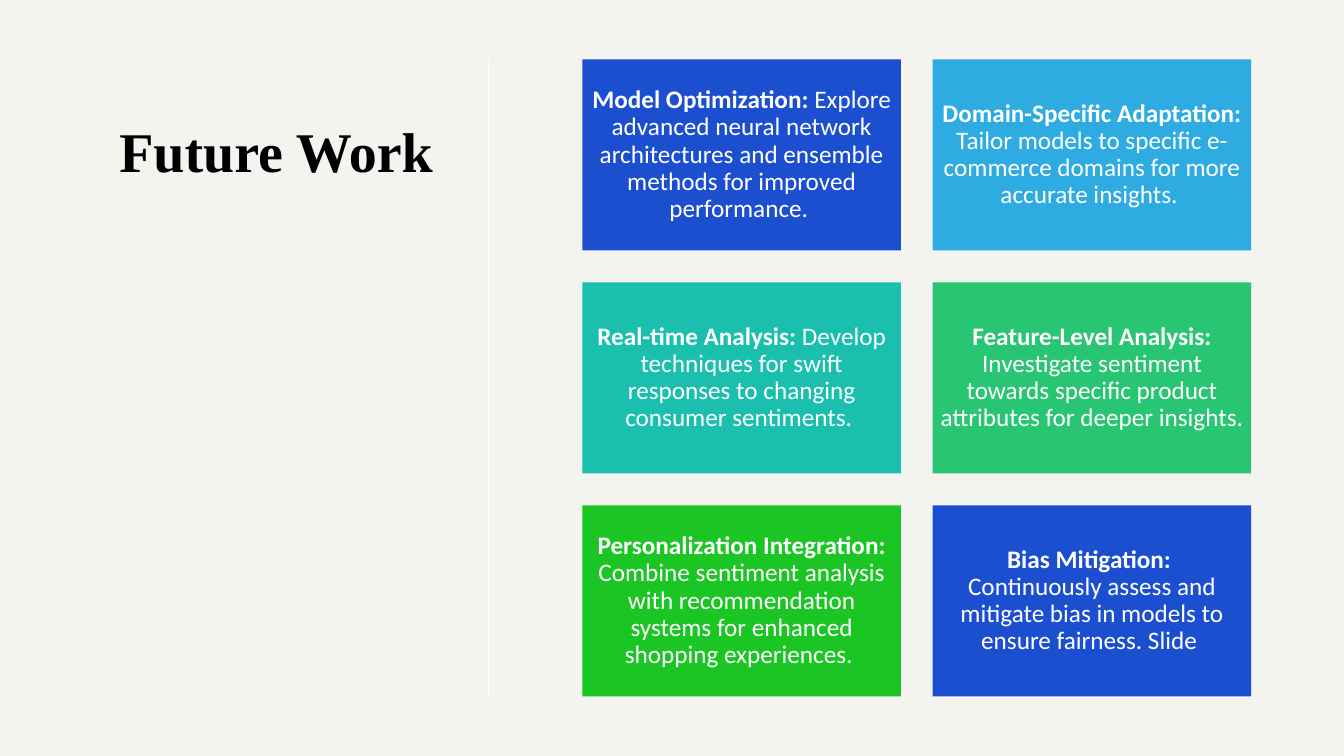
from dataclasses import dataclass

from lxml import etree
from pptx import Presentation
from pptx.dml.color import RGBColor
from pptx.enum.shapes import MSO_CONNECTOR, MSO_SHAPE
from pptx.enum.text import MSO_ANCHOR, MSO_AUTO_SIZE, PP_ALIGN
from pptx.oxml.ns import qn
from pptx.util import Pt

RECTANGLE = MSO_SHAPE.RECTANGLE
STRAIGHT = MSO_CONNECTOR.STRAIGHT
TOP, MIDDLE = MSO_ANCHOR.TOP, MSO_ANCHOR.MIDDLE
LEFT, CENTER = PP_ALIGN.LEFT, PP_ALIGN.CENTER
NO_AUTOFIT = MSO_AUTO_SIZE.NONE


@dataclass(frozen=True)
class Theme:
    background: str = "F3F3F0"
    title_color: str = "000000"
    light: str = "FFFFFF"
    cards: tuple = ("1C4FD0", "2EACE2", "1AC0AD", "28C572", "1BC624")
    title_font: str = "Times New Roman"
    body_font: str = "Calibri"
    title_size: int = 40
    body_size: int = 18


THEME = Theme()

FUTURE_WORK = [
    ("Model Optimization: ",
     "Explore advanced neural network architectures and ensemble methods for improved performance. "),
    ("Domain-Specific Adaptation:",
     " Tailor models to specific e-commerce domains for more accurate insights. "),
    ("Real-time Analysis: ",
     "Develop techniques for swift responses to changing consumer sentiments. "),
    ("Feature-Level Analysis:",
     " Investigate sentiment towards specific product attributes for deeper insights. "),
    ("Personalization Integration:",
     " Combine sentiment analysis with recommendation systems for enhanced shopping experiences. "),
    ("Bias Mitigation:  ",
     "Continuously assess and mitigate bias in models to ensure fairness. Slide "),
]


def color(value):
    return RGBColor.from_string(value)


def style_font(font, name, size, value):
    font.name = name
    font.size = Pt(size)
    font.color.rgb = color(value)


def place_title(slide, text, left, top, width, height):
    title = slide.shapes.title
    title.left, title.top = Pt(left), Pt(top)
    title.width, title.height = Pt(width), Pt(height)
    frame = title.text_frame
    frame.text = text
    frame.word_wrap = True
    frame.auto_size = NO_AUTOFIT
    frame.vertical_anchor = TOP
    paragraph = frame.paragraphs[0]
    paragraph.alignment = LEFT
    paragraph.line_spacing = 1.1
    style_font(paragraph.font, THEME.title_font, THEME.title_size, THEME.title_color)
    paragraph.font.bold = True


def add_divider(slide, x, top, height):
    divider = slide.shapes.add_connector(STRAIGHT, Pt(x), Pt(top), Pt(x), Pt(top + height))
    divider.line.color.rgb = color(THEME.light)
    divider.line.width = Pt(1)
    etree.SubElement(divider._element.spPr, qn("a:effectLst"))


def add_card(slide, heading, body, fill, left, top, width, height):
    card = slide.shapes.add_shape(RECTANGLE, Pt(left), Pt(top), Pt(width), Pt(height))
    card.shadow.inherit = False
    card.fill.solid()
    card.fill.fore_color.rgb = color(fill)
    card.line.fill.background()
    frame = card.text_frame
    frame.word_wrap = True
    frame.vertical_anchor = MIDDLE
    frame.margin_left = frame.margin_right = Pt(5.4)
    frame.margin_top = frame.margin_bottom = Pt(5.4)
    paragraph = frame.paragraphs[0]
    paragraph.alignment = CENTER
    paragraph.line_spacing = 0.9
    style_font(paragraph.font, THEME.body_font, THEME.body_size, THEME.light)
    for text, bold in ((heading, True), (body, False)):
        run = paragraph.add_run()
        run.text = text
        run.font.bold = bold


def add_card_grid(slide, items, left, top, width, height, columns=2, gap=22.75):
    rows = -(-len(items) // columns)
    card_width = (width - gap * (columns - 1)) / columns
    card_height = (height - gap * (rows - 1)) / rows
    for index, (heading, body) in enumerate(items):
        row, column = divmod(index, columns)
        add_card(slide, heading, body, THEME.cards[index % len(THEME.cards)],
                 left + column * (card_width + gap), top + row * (card_height + gap),
                 card_width, card_height)


def build_future_work(presentation):
    slide = presentation.slides.add_slide(presentation.slide_layouts[5])
    slide.background.fill.solid()
    slide.background.fill.fore_color.rgb = color(THEME.background)
    content_top, content_height = 42.4, 455
    place_title(slide, "Future Work ", 78, 75, 281, 369)
    add_divider(slide, 349, content_top, content_height)
    add_card_grid(slide, FUTURE_WORK, 416, content_top, 477.75, content_height)


def main():
    presentation = Presentation()
    presentation.slide_width, presentation.slide_height = Pt(960), Pt(540)
    build_future_work(presentation)
    presentation.save("out.pptx")


if __name__ == "__main__":
    main()
